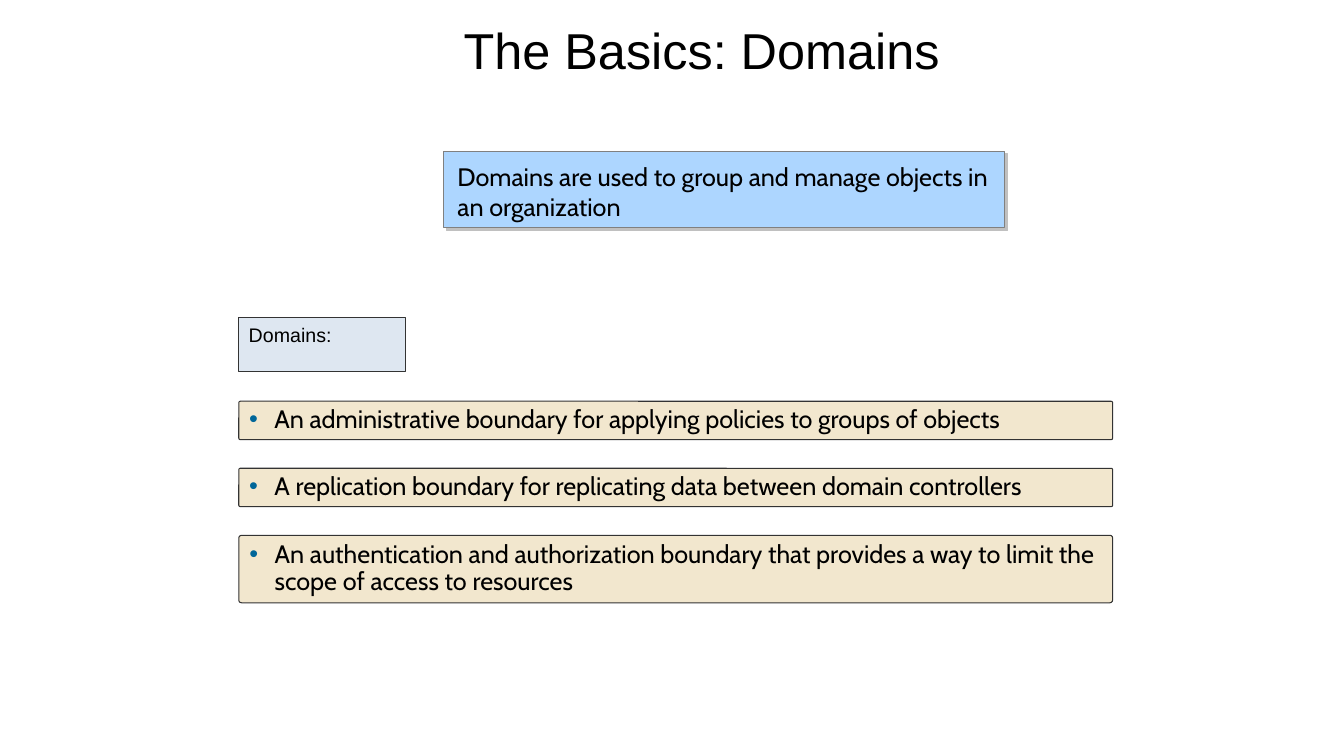
from lxml.etree import SubElement
from pptx import Presentation
from pptx.dml.color import RGBColor
from pptx.enum.shapes import MSO_SHAPE as Preset
from pptx.enum.text import MSO_ANCHOR as Anchor, MSO_AUTO_SIZE as AutoSize, PP_ALIGN as Align
from pptx.oxml.ns import qn
from pptx.util import Pt

COLORS = {
    "text": "000000",
    "label": "DEE7F1",
    "boundary": "F2E7CE",
    "outline": "333333",
    "bullet": "006699",
    "banner": "ADD6FF",
    "banner_line": "808080",
    "banner_shadow": "C0C0C0",
}
LEFT = 170.6
BOUNDARY_WIDTH = 624.2
BOUNDARY_TOP = 286.6
BOUNDARY_GAP = 20.5
BOUNDARIES = [
    (27.4, "An administrative boundary for applying policies to groups of objects"),
    (27.4, "A replication boundary for replicating data between domain controllers"),
    (48.2, "An authentication and authorization boundary that provides a way "
           "to limit the scope of access to resources"),
]


def color(name):
    return RGBColor.from_string(COLORS[name])


def write(frame, words, size, font, anchor=Anchor.TOP):
    """Put one left-aligned run in the frame and return its paragraph."""
    frame.word_wrap = True
    frame.vertical_anchor = anchor
    paragraph = frame.paragraphs[0]
    paragraph.alignment = Align.LEFT
    run = paragraph.add_run()
    run.text = words
    run.font.size = Pt(size)
    run.font.name = font
    run.font.color.rgb = color("text")
    return paragraph


def add_box(slide, preset, left, top, width, height, fill, line="outline"):
    box = slide.shapes.add_shape(preset, Pt(left), Pt(top), Pt(width), Pt(height))
    box.fill.solid()
    box.fill.fore_color.rgb = color(fill)
    box.line.color.rgb = color(line)
    box.line.width = Pt(0.75)
    box.shadow.inherit = False
    return box


def add_bullet(paragraph):
    paragraph.line_spacing = 0.9
    props = paragraph._p.get_or_add_pPr()
    props.set("marL", str(Pt(18)))
    props.set("indent", str(-Pt(18)))
    before = SubElement(props, qn("a:spcBef"))
    SubElement(before, qn("a:spcPct"), val="40000")
    tint = SubElement(props, qn("a:buClr"))
    SubElement(tint, qn("a:srgbClr"), val=COLORS["bullet"])
    SubElement(props, qn("a:buFont"), typeface="Arial")
    SubElement(props, qn("a:buChar"), char="•")


def add_title(slide, words):
    title = slide.shapes.title
    title.left, title.top, title.width, title.height = Pt(324), Pt(2.9), Pt(379.4), Pt(64.8)
    write(title.text_frame, words, 36, "Arial", Anchor.MIDDLE)


def add_boundary(slide, top, height, words):
    boundary = add_box(slide, Preset.ROUNDED_RECTANGLE, LEFT, top,
                       BOUNDARY_WIDTH, height, "boundary")
    boundary.adjustments[0] = 0.04
    frame = boundary.text_frame
    add_bullet(write(frame, words, 18, "Cabin", Anchor.MIDDLE))
    frame.auto_size = AutoSize.SHAPE_TO_FIT_TEXT


def add_banner(slide, words):
    banner = add_box(slide, Preset.RECTANGLE, 316.8, 108, 401, 54.7, "banner", "banner_line")
    effects = banner._element.spPr.find(qn("a:effectLst"))
    shadow = SubElement(effects, qn("a:outerShdw"), dist=str(Pt(2.8)),
                        dir="2700000", algn="ctr", rotWithShape="0")
    SubElement(shadow, qn("a:srgbClr"), val=COLORS["banner_shadow"])
    caption = slide.shapes.add_textbox(Pt(319.7), Pt(111.6), Pt(404.6), Pt(51.1))
    write(caption.text_frame, words, 18, "Cabin")
    caption.text_frame.auto_size = AutoSize.SHAPE_TO_FIT_TEXT


def main():
    deck = Presentation()
    deck.slide_width, deck.slide_height = Pt(960), Pt(540)
    slide = deck.slides.add_slide(deck.slide_layouts[5])

    add_title(slide, "The Basics: Domains")

    # Label above the list
    label = add_box(slide, Preset.RECTANGLE, LEFT, 226.8, 118.8, 38.9, "label")
    write(label.text_frame, "Domains:", 14, "Arial")

    # Stack of boundaries
    top = BOUNDARY_TOP
    for height, words in BOUNDARIES:
        add_boundary(slide, top, height, words)
        top += height + BOUNDARY_GAP

    # Definition
    add_banner(slide, "Domains are used to group and manage objects in an organization")

    deck.save("out.pptx")


if __name__ == "__main__":
    main()
